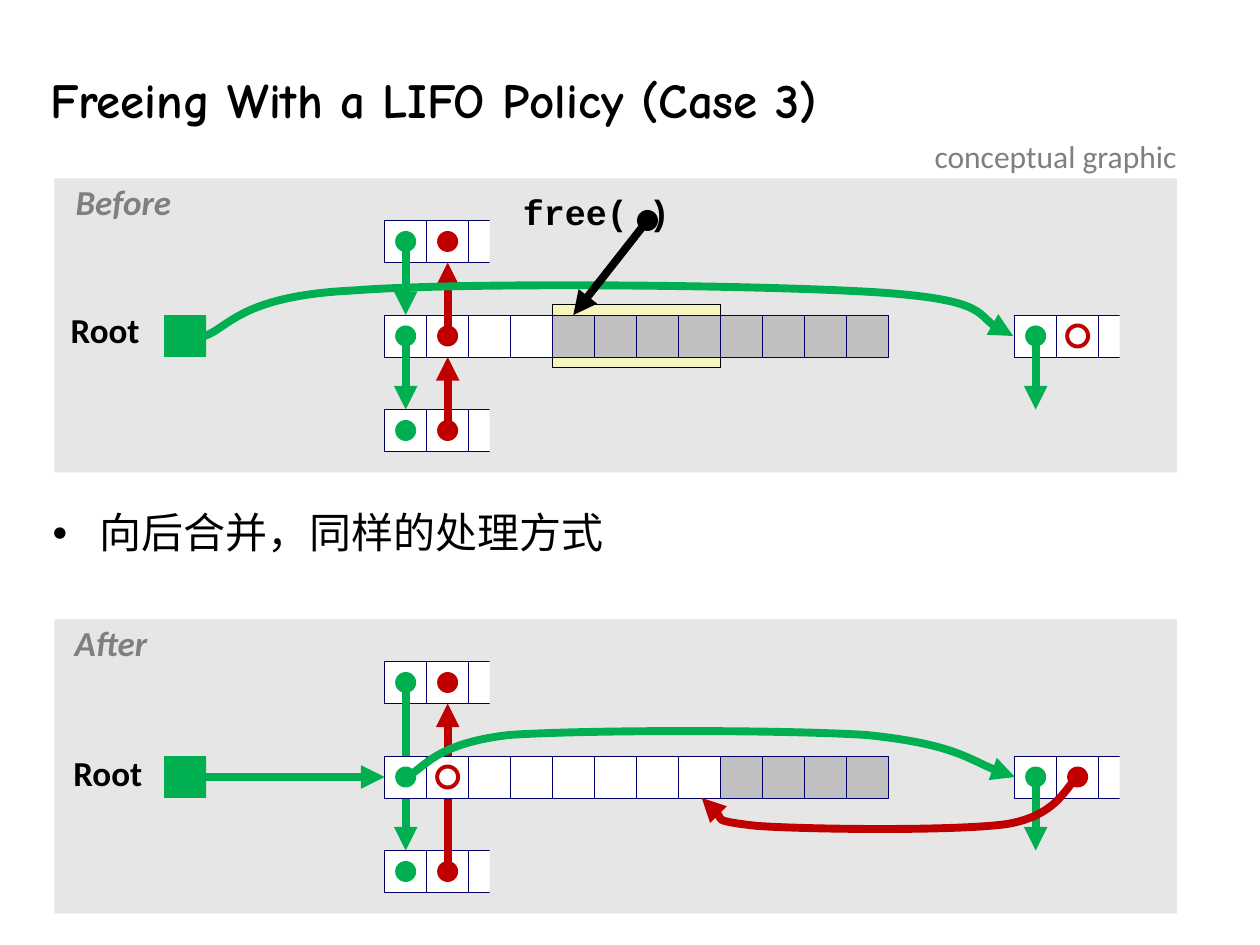
from lxml.etree import SubElement
from pptx import Presentation
from pptx.dml.color import RGBColor
from pptx.enum.shapes import MSO_CONNECTOR, MSO_SHAPE
from pptx.enum.text import MSO_ANCHOR as ANCHOR, PP_ALIGN as ALIGN
from pptx.oxml.ns import qn
from pptx.util import Pt

COLORS = {"panel": "E6E6E6", "yellow": "F6F5BD", "black": "000000",
          "white": "FFFFFF", "silver": "C0C0C0", "navy": "000066",
          "green": "00B050", "red": "C00000", "gray": "7F7F7F"}
RGB = {name: RGBColor.from_string(value) for name, value in COLORS.items()}
X0, CELL, DOT = 219.8, 24, 12
TOP, MID, LOW = 126, 180, 234
AFTER = 252
NEXT_X, PREV_X, LAST_X = X0 + 12, X0 + 36, X0 + 372

prs = Presentation()
prs.slide_width, prs.slide_height = Pt(720), Pt(540)
s = prs.slides.add_slide(prs.slide_layouts[6])


def add_shape(kind, x, y, w, h, fill=None, line=None, weight=0.25):
    sp = s.shapes.add_shape(kind, Pt(x), Pt(y), Pt(w), Pt(h))
    sp.shadow.inherit = False
    if fill:
        sp.fill.solid()
        sp.fill.fore_color.rgb = RGB[fill]
    else:
        sp.fill.background()
    if line:
        sp.line.color.rgb = RGB[line]
        sp.line.width = Pt(weight)
    else:
        sp.line.fill.background()


def add_arrow(color, *points):
    if len(points) == 2:
        ends = [Pt(v) for point in points for v in point]
        sp = s.shapes.add_connector(MSO_CONNECTOR.STRAIGHT, *ends)
    else:
        builder = s.shapes.build_freeform(*points[0], scale=Pt(1))
        builder.add_line_segments(points[1:], close=False)
        sp = builder.convert_to_shape()
        sp.fill.background()
        path = sp._element.find(".//" + qn("a:path"))
        steps = path.findall(qn("a:lnTo"))
        for i in range(0, len(steps), 3):
            curve = SubElement(path, qn("a:cubicBezTo"))
            for step in steps[i:i + 3]:
                curve.append(step[0])
                path.remove(step)
    sp.line.color.rgb = RGB[color]
    sp.line.width = Pt(4.5)
    SubElement(sp.line._get_or_add_ln(), qn("a:tailEnd"), type="triangle")
    SubElement(sp._element.spPr, qn("a:effectLst"))


RECT, OVAL = MSO_SHAPE.RECTANGLE, MSO_SHAPE.OVAL
for dy in (0, AFTER):
    add_shape(RECT, 31, 102 + dy, 641.5, 168, "panel")
add_shape(RECT, X0 + 4 * CELL, MID - 6, 4 * CELL, 36, "yellow", "black", 0.75)

for dy in (0, AFTER):
    for x, y in ((X0, TOP), (X0, LOW), (X0 + 15 * CELL, MID)):
        for i in range(3):
            add_shape(RECT, x + i * CELL, y + dy, CELL, CELL, "white", "navy")
        add_shape(RECT, x + 2.5 * CELL, y + dy - 6, CELL, 36, "panel")
    add_shape(RECT, 93.8, MID + dy, CELL, CELL, "green")

add_arrow("red", (PREV_X, 498), (PREV_X, 402))
add_arrow("green", (NEXT_X, 390), (NEXT_X, 486))

for dy, free_from in ((0, 4), (AFTER, 8)):
    for i in range(12):
        fill = "white" if i < free_from else "silver"
        add_shape(RECT, X0 + i * CELL, MID + dy, CELL, CELL, fill, "navy")

for dy, ring_x, dot_x in ((0, LAST_X + 24, PREV_X), (AFTER, PREV_X, LAST_X + 24)):
    dots = [(NEXT_X, y, "green") for y in (TOP, MID, LOW)]
    dots += [(LAST_X, MID, "green"), (PREV_X, TOP, "red"),
             (PREV_X, LOW, "red"), (dot_x, MID, "red")]
    for x, y, color in dots:
        add_shape(OVAL, x - 6, y + dy + 6, DOT, DOT, color)
    add_shape(OVAL, ring_x - 6, MID + dy + 6, DOT, DOT, None, "red", 2.25)
    add_arrow("green", (LAST_X, MID + dy + 12), (LAST_X, LOW + dy))

for y in (TOP, MID):
    add_arrow("green", (NEXT_X, y + 12), (NEXT_X, y + 54))
    add_arrow("red", (PREV_X, y + 66), (PREV_X, y + 24))
add_arrow("green", (117.4, 191.5), (131, 187.2), (138.2, 169.2), (201.6, 165.6),
          (265.7, 161.3), (436.3, 162.7), (499.7, 167),
          (562.3, 171.4), (562.3, 186.5), (578.9, 191.5))
add_arrow("green", (111.6, 444), (X0, 444))
add_arrow("green", (NEXT_X, 444), (242, 440), (247, 424.8), (290.9, 420.5),
          (334.8, 416.9), (447.1, 416.9), (495.4, 420.5),
          (543.6, 424.8), (562.3, 439.2), (579.6, 444))
add_arrow("red", (LAST_X + 24, 444), (609.1, 448.6), (604.8, 465.8), (574.6, 470.9),
          (544.3, 475.2), (462.2, 474.5), (433.4, 471.6),
          (404.6, 469.4), (407.5, 460.1), (401, 456.5))

label = dict(font="Calibri", size=20, bold=True)
state = dict(label, color="gray", italic=True)
texts = [
    ("Freeing With a LIFO Policy (Case 3)", 21.6, 28, 686.2, 62,
     dict(font="Comic Neue", size=28, bold=True, spacing=0.87, align=ALIGN.LEFT,
          anchor=ANCHOR.MIDDLE, inset=7.2, wrap=True)),
    ("向后合并，同样的处理方式", 23, 288, 654.5, 62,
     dict(font="Comic Neue", size=24, spacing=0.95, align=ALIGN.LEFT, inset=7.2,
          wrap=True, bullet=True)),
    ("free( )", 295.2, 108, 91.4, 28.8, dict(label, font="Courier New")),
    ("Root", 36.7, 175.7, 46.8, 28.8, label),
    ("Root", 38.2, 428.4, 46.8, 28.8, label),
    ("Before", 39.6, 102.2, 61.9, 28.8, state),
    ("After", 38.9, 354.2, 49, 28.8, state),
    ("conceptual graphic", 527, 74.9, 153.4, 28.8,
     dict(font="Calibri", size=18, color="gray", spacing=1, align=ALIGN.LEFT, inset=7.2)),
]
for text, x, y, w, h, fmt in texts:
    tf = s.shapes.add_textbox(Pt(x), Pt(y), Pt(w), Pt(h)).text_frame
    inset = Pt(fmt.get("inset", 3.6))
    frame = dict(word_wrap=fmt.get("wrap", False), margin_left=inset,
                 margin_right=inset, margin_top=Pt(3.6), margin_bottom=Pt(3.6),
                 vertical_anchor=fmt.get("anchor", ANCHOR.TOP))
    for key, value in frame.items():
        setattr(tf, key, value)
    p = tf.paragraphs[0]
    p.alignment = fmt.get("align", ALIGN.CENTER)
    p.line_spacing = fmt.get("spacing", 0.9)
    if fmt.get("bullet"):
        pPr = p._p.get_or_add_pPr()
        pPr.set("marL", str(Pt(27)))
        pPr.set("indent", str(-Pt(27)))
        SubElement(pPr, qn("a:buFont"), typeface="Arial")
        SubElement(pPr, qn("a:buChar"), char="•")
    r = p.add_run()
    r.text = text
    font = dict(name=fmt["font"], size=Pt(fmt["size"]),
                bold=fmt.get("bold", False), italic=fmt.get("italic", False))
    for key, value in font.items():
        setattr(r.font, key, value)
    r.font.color.rgb = RGB[fmt.get("color", "black")]

add_shape(OVAL, 364, 120, DOT, DOT, "black")
add_arrow("black", (370, 126), (327.6, 180))

prs.save("out.pptx")
